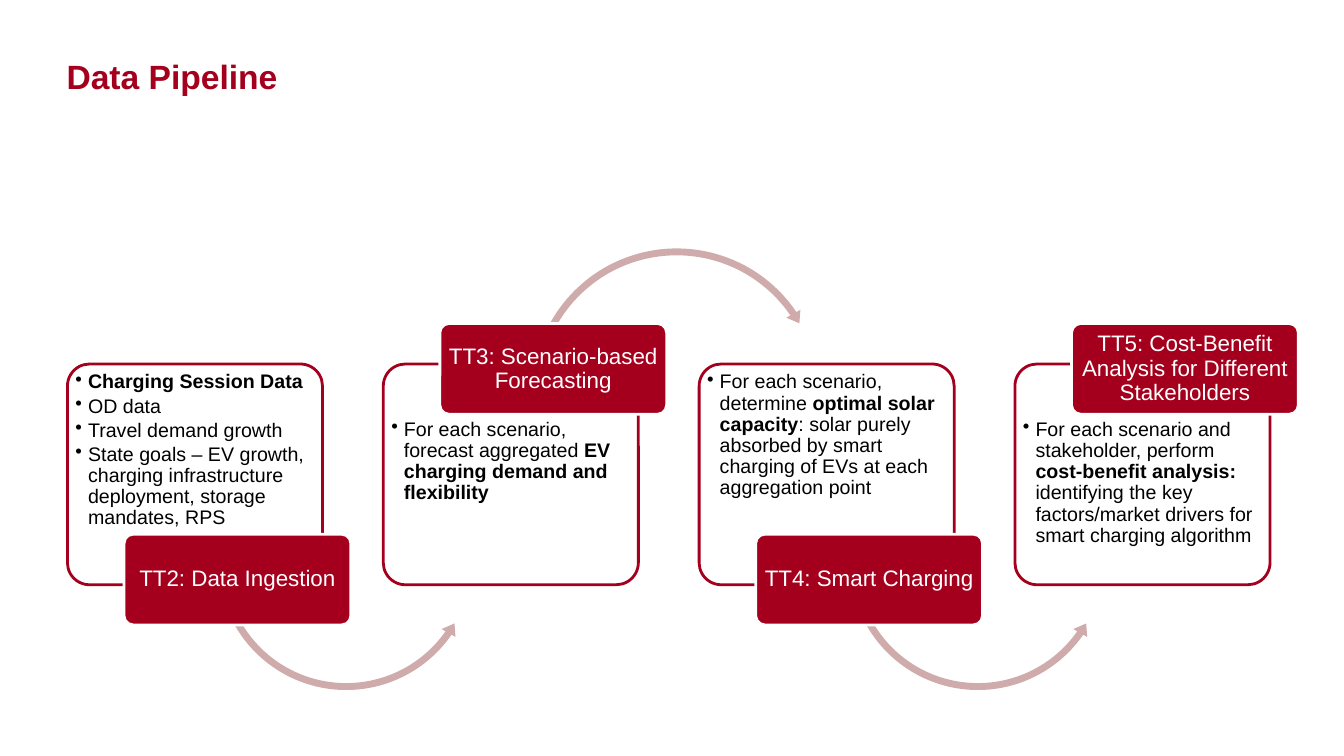
from dataclasses import dataclass

from lxml import etree
from pptx import Presentation
from pptx.dml.color import RGBColor
from pptx.enum.shapes import MSO_SHAPE
from pptx.enum.text import MSO_ANCHOR, PP_ALIGN
from pptx.oxml.ns import qn
from pptx.util import Pt

ROUND = MSO_SHAPE.ROUNDED_RECTANGLE
OVER = MSO_SHAPE.CIRCULAR_ARROW
UNDER = MSO_SHAPE.LEFT_CIRCULAR_ARROW
TOP, MIDDLE, BOTTOM = MSO_ANCHOR.TOP, MSO_ANCHOR.MIDDLE, MSO_ANCHOR.BOTTOM
LEFT, CENTER = PP_ALIGN.LEFT, PP_ALIGN.CENTER

FONT = "Arial"
RED, PINK, WHITE, BLACK = "A4001D", "CFABAC", "FFFFFF", "000000"
START, PITCH = 48.2, 225.6
BOX_TOP, BOX_W, BOX_H = 260, 182.2, 157.7
TAG_DX, TAG_W, TAG_H = 40.4, 162, 64.8


@dataclass
class Part:
    text: str
    bold: bool = False


@dataclass
class Stage:
    name: str
    points: list[list[Part]]


@dataclass
class Side:
    tag_top: float
    pad: float
    kind: MSO_SHAPE
    dx: float
    top: float
    size: float
    bends: tuple[float, ...]


LOW = Side(381.6, 1.1, UNDER, 104.4, 306.7, 189.4,
           (0.026, 3.102, 20.857, 90.245, 0.03))
HIGH = Side(231.1, 35, OVER, 103, 174.2, 213.1,
            (0.023, 2.744, 195.501, 125.755, 0.027))

STAGES = [
    Stage("TT2: Data Ingestion", [
        [Part("Charging Session Data", True)],
        [Part("OD data")],
        [Part("Travel demand growth")],
        [Part("State goals – EV growth, charging infrastructure deployment, "
              "storage mandates, RPS")],
    ]),
    Stage("TT3: Scenario-based Forecasting", [[
        Part("For each scenario, forecast aggregated "),
        Part("EV charging demand and flexibility", True),
    ]]),
    Stage("TT4: Smart Charging", [[
        Part("For each scenario, determine "),
        Part("optimal solar capacity", True),
        Part(": solar purely absorbed by smart charging of EVs at each "
             "aggregation point"),
    ]]),
    Stage("TT5: Cost-Benefit Analysis for Different Stakeholders", [[
        Part("For each scenario and stakeholder, perform "),
        Part("cost-benefit analysis:", True),
        Part(" identifying the key factors/market drivers for smart charging "
             "algorithm"),
    ]]),
]


def paint(target, color: str) -> None:
    target.solid()
    target.fore_color.rgb = RGBColor.from_string(color)


def add_form(slide, kind: MSO_SHAPE, x: float, y: float, w: float, h: float,
             bends: tuple[float, ...], fill: str, line: str | None = None):
    form = slide.shapes.add_shape(kind, Pt(x), Pt(y), Pt(w), Pt(h))
    form.shadow.inherit = False
    for i, bend in enumerate(bends):
        form.adjustments[i] = bend
    paint(form.fill, fill)
    if line:
        paint(form.line.fill, line)
        form.line.width = Pt(2)
    else:
        form.line.fill.background()
    return form


def set_frame(form, anchor: MSO_ANCHOR, side: float, top: float, base: float):
    frame = form.text_frame
    frame.word_wrap = True
    frame.vertical_anchor = anchor
    frame.margin_left = frame.margin_right = Pt(side)
    frame.margin_top, frame.margin_bottom = Pt(top), Pt(base)
    return frame


def add_parts(para, parts: list[Part], size: float, color: str,
              align: PP_ALIGN, space: float = 0.9) -> None:
    para.alignment = align
    para.line_spacing = space
    for part in parts:
        run = para.add_run()
        run.text = part.text
        run.font.name = FONT
        run.font.size = Pt(size)
        run.font.bold = part.bold
        paint(run.font.fill, color)


def add_bullet(para) -> None:
    props = para._p.get_or_add_pPr()
    props.set("marL", str(Pt(9)))
    props.set("indent", str(Pt(-9)))
    etree.SubElement(props, qn("a:buChar")).set("char", "•")


def add_box(slide, x: float, stage: Stage, side: Side) -> None:
    box = add_form(slide, ROUND, x, BOX_TOP, BOX_W, BOX_H, (0.1,), WHITE, RED)
    frame = set_frame(box, TOP, 1.1, side.pad, 1.1)
    for i, parts in enumerate(stage.points):
        para = frame.add_paragraph() if i else frame.paragraphs[0]
        add_parts(para, parts, 14, BLACK, LEFT)
        para.space_after = Pt(2.1)
        add_bullet(para)


def add_tag(slide, x: float, name: str, side: Side) -> None:
    tag = add_form(slide, ROUND, x + TAG_DX, side.tag_top, TAG_W, TAG_H,
                   (0.1,), RED, WHITE)
    frame = set_frame(tag, MIDDLE, 2.2, 1.5, 1.5)
    add_parts(frame.paragraphs[0], [Part(name)], 16, WHITE, CENTER)


def add_title(slide, text: str) -> None:
    title = slide.shapes.add_textbox(Pt(47.5), Pt(10), Pt(851), Pt(59))
    frame = set_frame(title, BOTTOM, 0, 0, 0)
    add_parts(frame.paragraphs[0], [Part(text, True)], 24, RED, LEFT, 1.0)


def main() -> None:
    deck = Presentation()
    deck.slide_width, deck.slide_height = Pt(960), Pt(540)
    slide = deck.slides.add_slide(deck.slide_layouts[6])
    add_title(slide, "Data Pipeline")
    for i, stage in enumerate(STAGES):
        x = START + i * PITCH
        side = HIGH if i % 2 else LOW
        add_box(slide, x, stage, side)
        if i < len(STAGES) - 1:
            add_form(slide, side.kind, x + side.dx, side.top,
                     side.size, side.size, side.bends, PINK)
        add_tag(slide, x, stage.name, side)
    deck.save("out.pptx")


if __name__ == "__main__":
    main()
